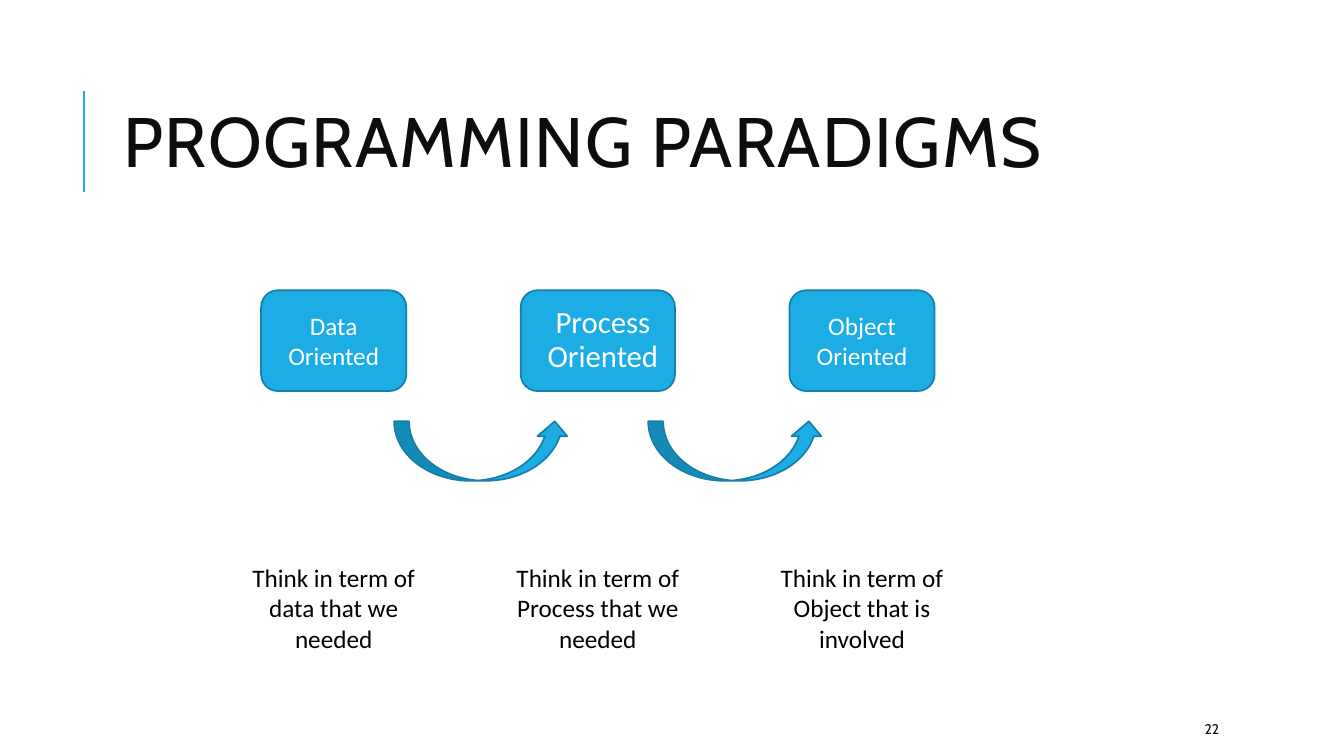
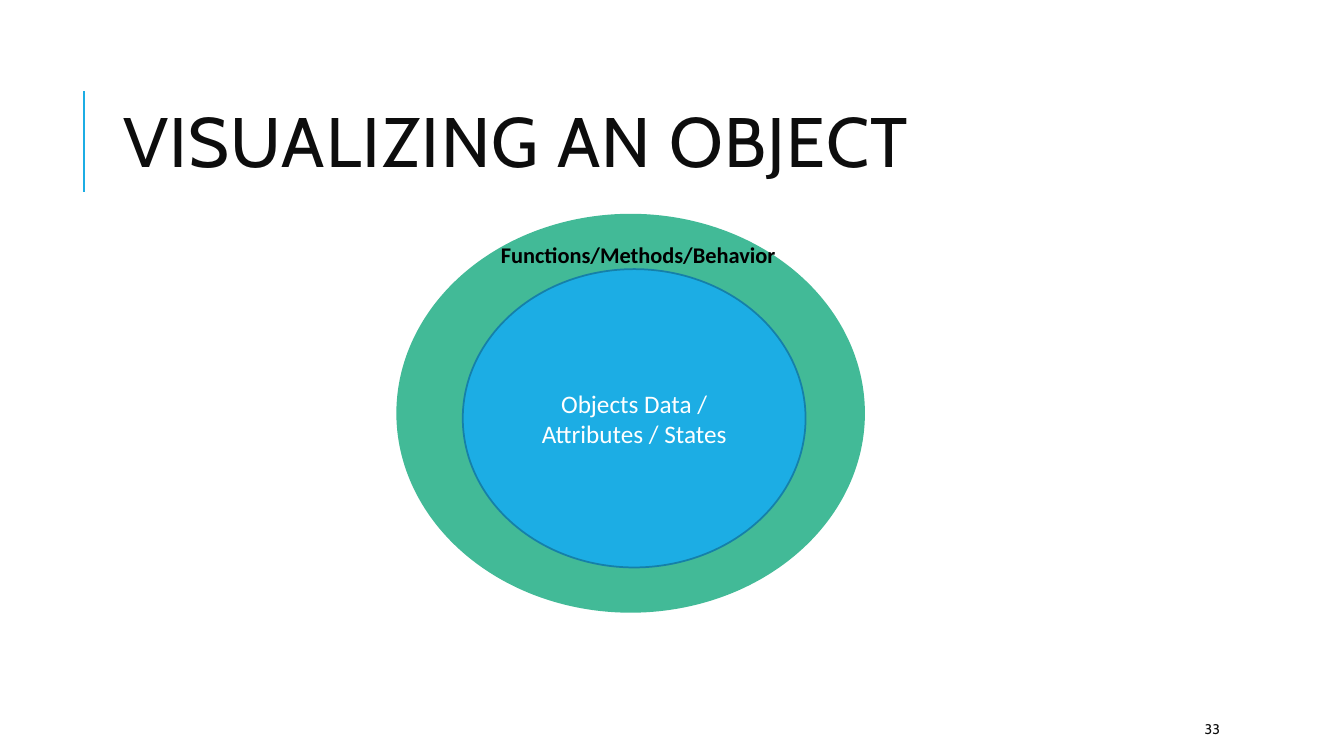
"""Build two slides on programming paradigms and the parts of an object."""
import dataclasses

import lxml.etree
import pptx
import pptx.dml.color
import pptx.enum.shapes
import pptx.enum.text
import pptx.oxml.ns
import pptx.util

Inches, Pt = pptx.util.Inches, pptx.util.Pt
Shape = pptx.enum.shapes.MSO_SHAPE
Align = pptx.enum.text.PP_ALIGN
rgb = pptx.dml.color.RGBColor.from_string


@dataclasses.dataclass(frozen=True)
class Theme:
    blue: str = "1CADE4"
    edge: str = "1580A9"
    green: str = "42BA97"
    ink: str = "0D0D0D"
    black: str = "000000"
    white: str = "FFFFFF"
    head: str = "Cabin"
    body: str = "Calibri"
    title: int = 50
    large: int = 22
    text: int = 18
    label: int = 16
    small: int = 10


theme = Theme()


def write(shape, text, size, color, face=theme.body, align=Align.CENTER, middle=True):
    frame = shape.text_frame
    frame.text = text
    frame.word_wrap = True
    anchor = pptx.enum.text.MSO_ANCHOR
    frame.vertical_anchor = anchor.MIDDLE if middle else anchor.TOP
    para = frame.paragraphs[0]
    para.alignment = align
    font = para.runs[0].font
    font.name, font.size, font.color.rgb = face, Pt(size), rgb(color)
    return para


def draw(slide, kind, left, top, width, height, fill=theme.blue, edge=theme.edge):
    shape = slide.shapes.add_shape(kind, Inches(left), Inches(top), Inches(width), Inches(height))
    shape.shadow.inherit = False
    shape.fill.solid()
    shape.fill.fore_color.rgb = rgb(fill)
    shape.line.color.rgb = rgb(edge)
    shape.line.width = Pt(1.25)
    return shape


deck = pptx.Presentation()
deck.slide_width, deck.slide_height = Inches(13.33), Inches(7.5)

slides = []
for name, number in (("PROGRAMMING PARADIGMS", "22"), ("VISUALIZING AN OBJECT", "33")):
    slide = deck.slides.add_slide(deck.slide_layouts[5])
    slides.append(slide)

    rule = slide.shapes.add_connector(
        pptx.enum.shapes.MSO_CONNECTOR.STRAIGHT, Inches(0.83), Inches(1.9), Inches(0.83), Inches(0.9))
    rule.line.color.rgb = rgb(theme.blue)
    rule.line.width = Pt(1.5)
    lxml.etree.SubElement(rule._element.spPr, pptx.oxml.ns.qn("a:effectLst"))

    title = slide.shapes.title
    title.left, title.top = Inches(1.12), Inches(0.64)
    title.width, title.height = Inches(10.63), Inches(1.64)
    para = write(title, name, theme.title, theme.ink, theme.head, Align.LEFT)
    title.text_frame.auto_size = pptx.enum.text.MSO_AUTO_SIZE.NONE
    para.line_spacing = 0.8
    para.runs[0]._r.get_or_add_rPr().set("spc", "100")

    page = slide.shapes.add_textbox(Inches(11.85), Inches(7.08), Inches(1.06), Inches(0.3))
    write(page, number, theme.small, theme.ink, theme.head, Align.LEFT)

first, second = slides

steps = (
    ("Data Oriented", 1.44, theme.text, "Think in term of data that we needed"),
    ("Process Oriented", 1.53, theme.large, "Think in term of Process that we needed"),
    ("Object Oriented", 1.44, theme.text, "Think in term of Object that is involved"),
)
for col, (name, width, size, note) in enumerate(steps):
    center = 3.31 + 2.62 * col
    box = draw(first, Shape.ROUNDED_RECTANGLE, center - width / 2, 2.88, width, 1)
    para = write(box, name, size, theme.white)
    if size == theme.large:
        para.line_spacing = 0.9
        para.space_after = Pt(2)
        box.text_frame.margin_left = Inches(0.15)
        box.text_frame.margin_right = Inches(0.05)
    words = first.shapes.add_textbox(Inches(center - 0.93), Inches(5.53), Inches(1.86), Inches(1.01))
    write(words, note, theme.text, theme.black, middle=False)

for left in (3.91, 6.43):
    draw(first, Shape.CURVED_UP_ARROW, left, 4.18, 1.74, 0.59)

draw(second, Shape.OVAL, 3.94, 2.13, 4.63, 3.94, theme.green, theme.green)
core = draw(second, Shape.OVAL, 4.59, 2.67, 3.4, 2.96)
write(core, "Objects Data / Attributes / States", theme.text, theme.white)
label = second.shapes.add_textbox(Inches(4.87), Inches(2.34), Inches(3.62), Inches(0.37))
para = write(label, "Functions/Methods/Behavior", theme.label, theme.black, align=Align.LEFT, middle=False)
para.runs[0].font.bold = True

deck.save("out.pptx")
